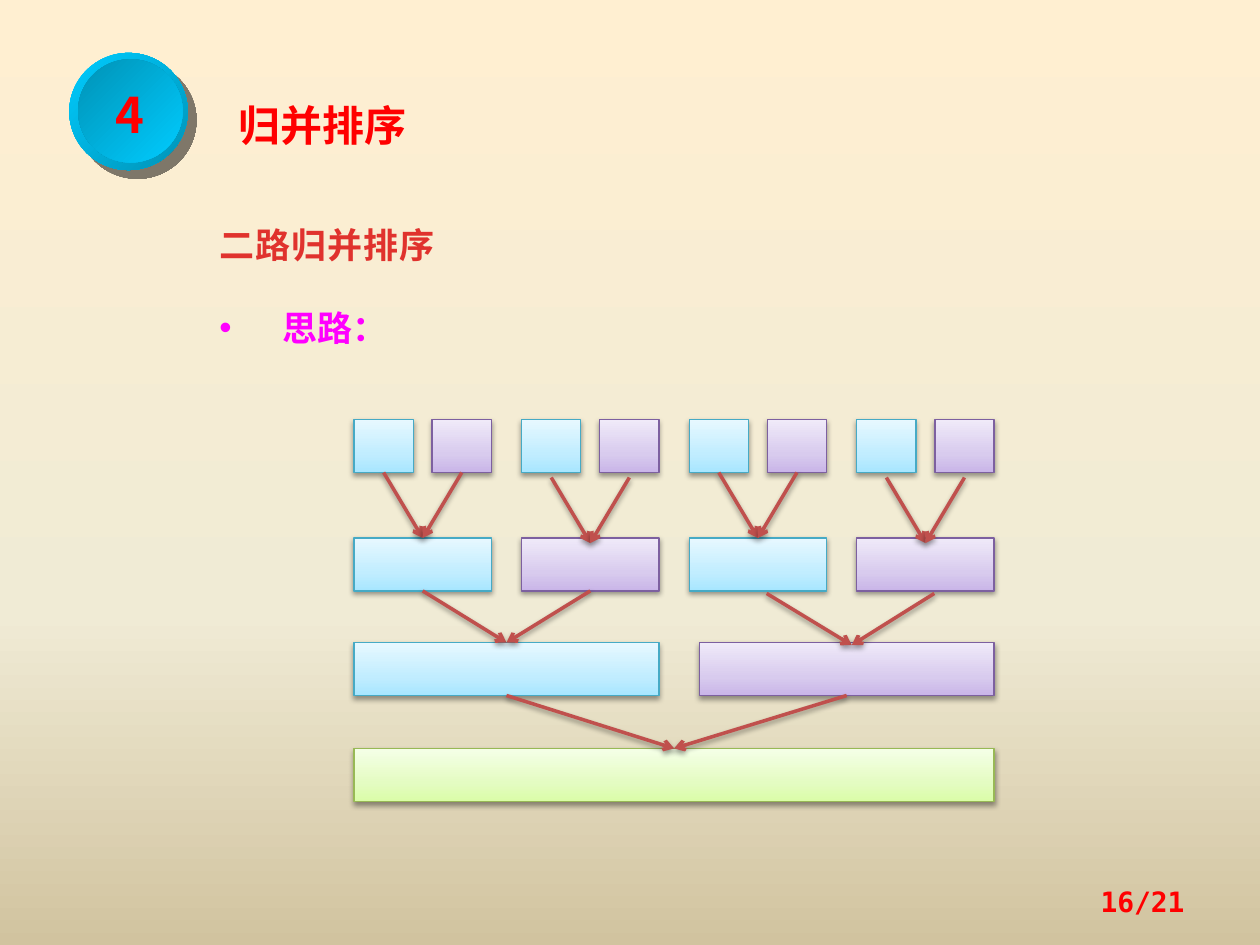
from dataclasses import dataclass

import pptx
import pptx.dml.color
import pptx.enum.shapes
import pptx.enum.text
import pptx.oxml.ns
import pptx.oxml.xmlchemy
import pptx.util
from lxml import etree

Inches = pptx.util.Inches
Pt = pptx.util.Pt
RGB = pptx.dml.color.RGBColor
qn = pptx.oxml.ns.qn
ALIGN = pptx.enum.text.PP_ALIGN
ANCHOR = pptx.enum.text.MSO_ANCHOR
SHAPE = pptx.enum.shapes.MSO_SHAPE

CJK_FONT = "Noto Sans CJK SC"
MONO_FONT = "DejaVu Sans Mono"
RED = RGB(0xFF, 0x00, 0x00)
BRICK = RGB(0xE0, 0x32, 0x2D)
MAGENTA = RGB(0xFF, 0x00, 0xFF)
ARROW = RGB(0xC0, 0x50, 0x4D)
BLACK = RGB(0x00, 0x00, 0x00)
SOOT = RGB(0x02, 0x02, 0x02)
SKY = RGB(0x00, 0xCC, 0xFF)
TEAL = RGB(0x00, 0x92, 0xB6)
SAND = [(0, RGB(0xFF, 0xEF, 0xD1)), (65, RGB(0xF0, 0xEB, 0xD5)),
        (100, RGB(0xD1, 0xC3, 0x9F))]


@dataclass(frozen=True)
class Style:
    stops: list
    line: RGB


@dataclass(frozen=True)
class Shadow:
    color: RGB
    alpha: int
    blur: float
    dist: float
    angle: int


@dataclass(frozen=True)
class Merge:
    """Two runs joined into one; start and end shift the arrow tips."""
    left: object
    right: object
    result: object
    start: tuple = (0, 0)
    end: tuple = (0, 0)


BLUE = Style([(0, RGB(0xA7, 0xE6, 0xFF)), (35, RGB(0xC1, 0xED, 0xFF)),
              (100, RGB(0xE7, 0xF8, 0xFF))], RGB(0x46, 0xAA, 0xC5))
PURPLE = Style([(0, RGB(0xC9, 0xB5, 0xE8)), (35, RGB(0xD8, 0xCB, 0xEE)),
                (100, RGB(0xF0, 0xEA, 0xF9))], RGB(0x7D, 0x60, 0xA0))
GREEN = Style([(0, RGB(0xDA, 0xFD, 0xA7)), (35, RGB(0xE4, 0xFC, 0xC2)),
               (100, RGB(0xF5, 0xFF, 0xE7))], RGB(0x98, 0xB9, 0x55))
SOFT = Shadow(BLACK, 38, 3.1, 1.6, 90)
HARD = Shadow(SOOT, 50, 0, 7.1, 45)


def add_xml(parent, tag: str, **attrs):
    return etree.SubElement(parent, qn(tag), {k: str(v) for k, v in attrs.items()})


def set_gradient(fill, element, stops: list, angle: int) -> None:
    fill.gradient()
    grad = next(element.iter(qn("a:gradFill")))
    for child in list(grad):
        grad.remove(child)
    stop_list = add_xml(grad, "a:gsLst")
    for pos, color in stops:
        stop = add_xml(stop_list, "a:gs", pos=pos * 1000)
        add_xml(stop, "a:srgbClr", val=color)
    add_xml(grad, "a:lin", ang=angle * 60000, scaled=0)


def add_shadow(effects, shadow: Shadow) -> None:
    outer = add_xml(effects, "a:outerShdw", blurRad=int(Pt(shadow.blur)),
                    dist=int(Pt(shadow.dist)), dir=shadow.angle * 60000,
                    algn="ctr", rotWithShape=0)
    color = add_xml(outer, "a:srgbClr", val=shadow.color)
    add_xml(color, "a:alpha", val=shadow.alpha * 1000)


def add_run(p, text: str, size: int, color: RGB, font: str = CJK_FONT):
    r = p.add_run()
    r.text = text
    r.font.size, r.font.bold, r.font.name = Pt(size), True, font
    r.font.color.rgb = color
    add_xml(r.font._element, "a:ea", typeface=font)
    return r


def place(sp, left: float, top: float, width: float, height: float) -> None:
    sp.left, sp.top = Inches(left), Inches(top)
    sp.width, sp.height = Inches(width), Inches(height)


def add_filled(slide, kind, box: tuple, stops: list, angle: int, shadow=None):
    sp = slide.shapes.add_shape(kind, *map(Inches, box))
    sp.shadow.inherit = False
    set_gradient(sp.fill, sp._element.spPr, stops, angle)
    sp.line.fill.background()
    if shadow:
        add_shadow(sp._element.spPr.find(qn("a:effectLst")), shadow)
    return sp


def add_block(slide, left: float, top: float, width: float, style: Style):
    sp = add_filled(slide, SHAPE.RECTANGLE, (left, top, width, 0.42),
                    style.stops, 270, SOFT)
    sp.line.color.rgb = style.line
    sp.line.width = Pt(0.75)
    return sp


def add_arrow(slide, source, merge: Merge) -> None:
    target = merge.result
    (sx, sy), (ex, ey) = merge.start, merge.end
    cn = slide.shapes.add_connector(
        pptx.enum.shapes.MSO_CONNECTOR.STRAIGHT,
        source.left + source.width // 2 + Inches(sx),
        source.top + source.height + Inches(sy),
        target.left + target.width // 2 + Inches(ex), target.top + Inches(ey))
    if not any(merge.start + merge.end):
        cn.begin_connect(source, 2)
        cn.end_connect(target, 0)
    cn.line.color.rgb = ARROW
    cn.line.width = Pt(2)
    add_xml(cn.line._get_or_add_ln(), "a:tailEnd", type="arrow")
    add_shadow(add_xml(cn._element.spPr, "a:effectLst"), SOFT)


def add_badge(slide, number: str) -> None:
    add_filled(slide, SHAPE.OVAL, (0.55, 0.42, 0.94, 0.93),
               [(0, SKY), (100, TEAL)], 45, HARD)
    sp = add_filled(slide, SHAPE.OVAL, (0.62, 0.47, 0.83, 0.82),
                    [(0, TEAL), (100, SKY)], 45)
    tf = sp.text_frame
    tf.word_wrap = False
    tf.vertical_anchor = ANCHOR.MIDDLE
    p = tf.paragraphs[0]
    p.alignment, p.line_spacing = ALIGN.CENTER, 1.1
    add_run(p, number, 28, RED)


def add_texts(slide) -> None:
    # Title
    title, body = slide.placeholders
    place(title, 1.64, 0.7, 2.5, 0.55)
    tf = title.text_frame
    tf.auto_size = pptx.enum.text.MSO_AUTO_SIZE.NONE
    tf.vertical_anchor = ANCHOR.TOP
    tf.margin_left = Inches(0.25)
    p = tf.paragraphs[0]
    p.alignment, p.line_spacing = ALIGN.LEFT, 1.1
    add_run(p, "归并排序", 24, RED)

    # Heading and bullet
    place(body, 1.64, 1.56, 2.42, 1.31)
    tf = body.text_frame
    tf.auto_size = pptx.enum.text.MSO_AUTO_SIZE.NONE
    heading, idea = tf.paragraphs[0], tf.add_paragraph()
    for p, space in ((heading, 0), (idea, 11)):
        p.line_spacing, p.space_before = 1.5, Pt(space)
        pPr = p._p.get_or_add_pPr()
        pPr.set("marL", str(Inches(0.5)))
        pPr.set("indent", str(-Inches(0.5)))
    add_xml(heading._p.pPr, "a:buNone")
    add_xml(idea._p.pPr, "a:buChar", char="•")
    r = add_run(heading, "二路归并排序", 20, BRICK)
    r.font._element.set("spc", "50")
    add_run(idea, "思路：", 20, MAGENTA)

    # Page number
    page = slide.shapes.add_textbox(*map(Inches, (7.17, 6.95, 2.33, 0.4)))
    tf = page.text_frame
    tf.word_wrap = True
    tf.vertical_anchor = ANCHOR.MIDDLE
    p = tf.paragraphs[0]
    p.alignment = ALIGN.RIGHT
    add_run(p, "16/21", 16, RED, MONO_FONT)


def add_merge_tree(slide) -> None:
    lefts = [2.81 + 1.33 * i for i in range(4)]
    singles = [add_block(slide, x + dx, 3.33, 0.47, style)
               for x in lefts for dx, style in ((0, BLUE), (0.62, PURPLE))]
    pairs = [add_block(slide, x, 4.27, 1.09, (BLUE, PURPLE)[i % 2])
             for i, x in enumerate(lefts)]
    halves = [add_block(slide, 2.81, 5.1, 2.42, BLUE),
              add_block(slide, 5.55, 5.1, 2.34, PURPLE)]
    whole = add_block(slide, 2.81, 5.94, 5.08, GREEN)

    merges = [Merge(*singles[2 * i:2 * i + 2], pair, *[(0, 0.04 * (i % 2))] * 2)
              for i, pair in enumerate(pairs)]
    merges += [Merge(*pairs[:2], halves[0]),
               Merge(*pairs[2:], halves[1], (0.07, 0.02), (0.04, 0.02)),
               Merge(*halves, whole)]
    for merge in merges:
        for source in (merge.left, merge.right):
            add_arrow(slide, source, merge)


def main() -> None:
    prs = pptx.Presentation()
    prs.slide_width, prs.slide_height = Inches(10), Inches(7.5)
    slide = prs.slides.add_slide(prs.slide_layouts[1])
    set_gradient(slide.background.fill, slide._element, SAND, 90)
    add_badge(slide, "4")
    add_texts(slide)
    add_merge_tree(slide)
    prs.save("out.pptx")


if __name__ == "__main__":
    main()
